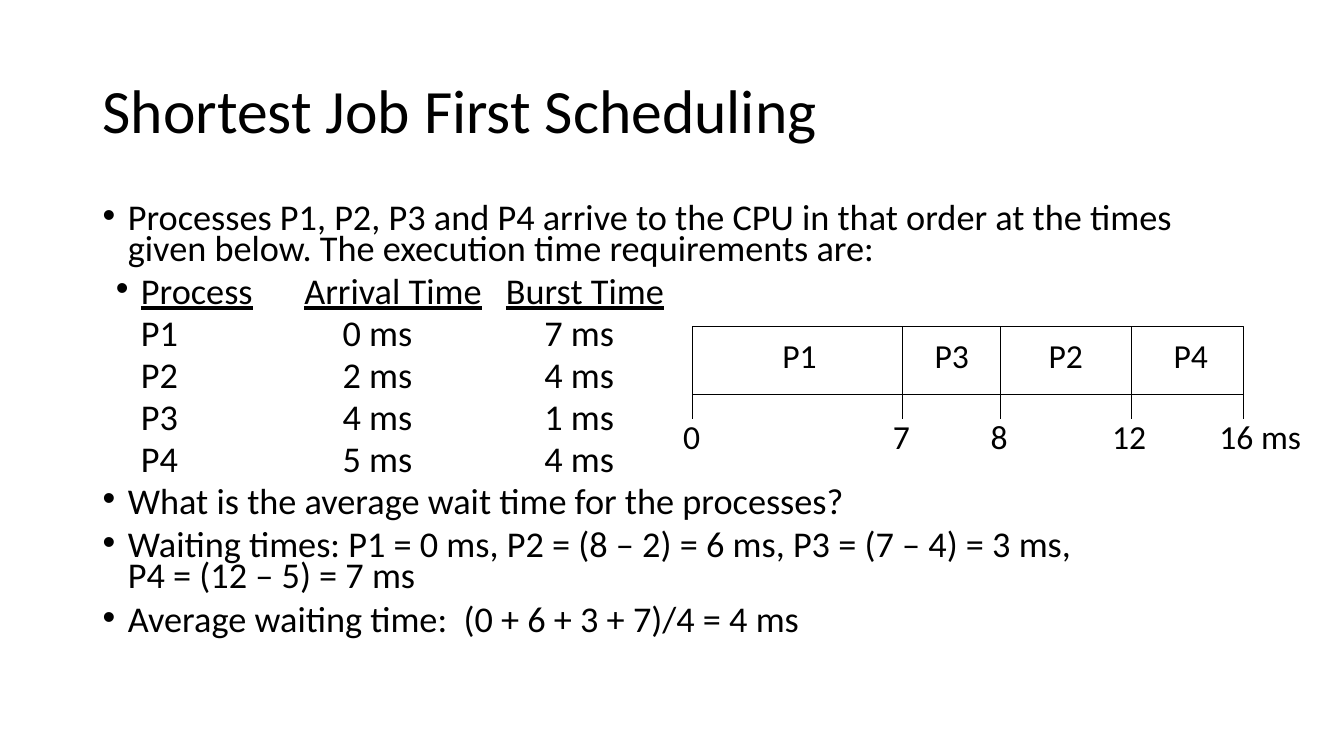
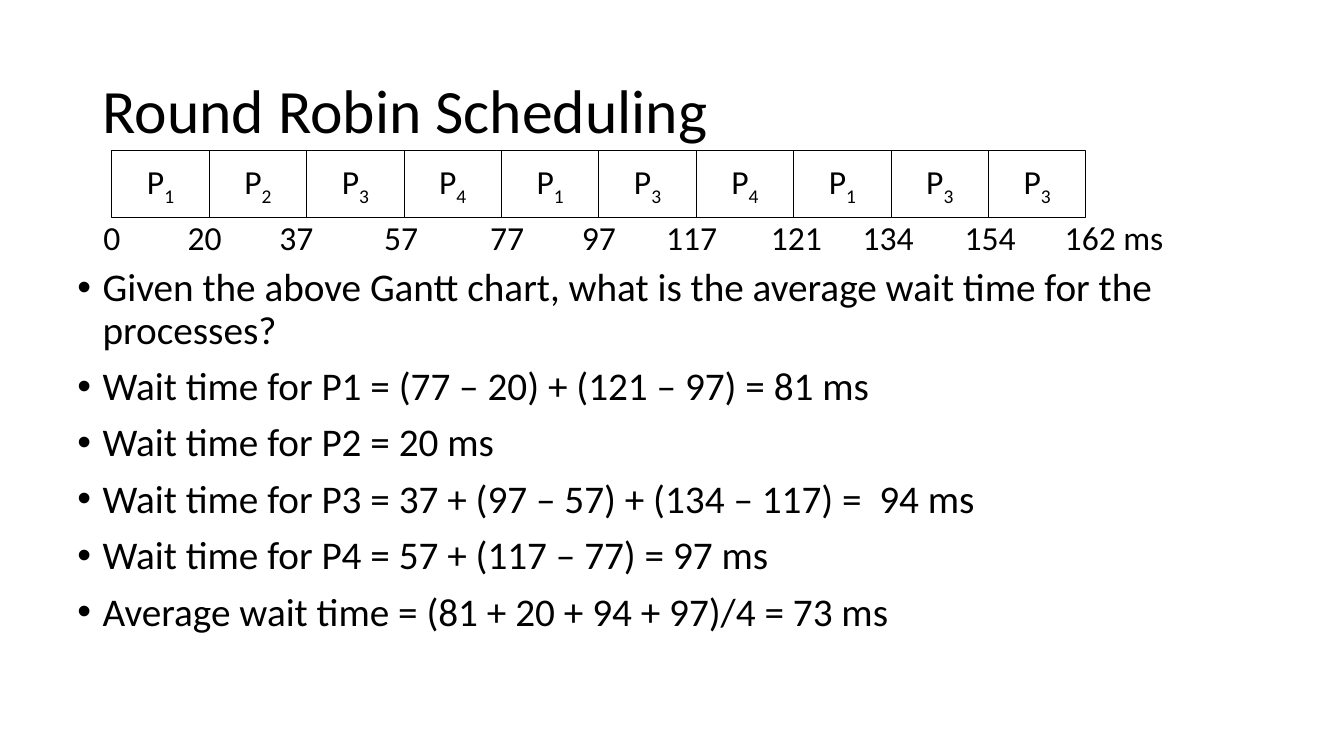
"""Build two slides on CPU scheduling: shortest job first and round robin."""
from lxml import etree
from pptx import Presentation
from pptx.dml.color import RGBColor
from pptx.enum.shapes import MSO_CONNECTOR, MSO_SHAPE
from pptx.enum.text import MSO_ANCHOR, PP_ALIGN
from pptx.oxml.ns import qn
from pptx.util import Inches, Pt

RECTANGLE = MSO_SHAPE.RECTANGLE
STRAIGHT = MSO_CONNECTOR.STRAIGHT
MIDDLE, TOP = MSO_ANCHOR.MIDDLE, MSO_ANCHOR.TOP
CENTER, LEFT = PP_ALIGN.CENTER, PP_ALIGN.LEFT

FONT = "Calibri"
COLORS = {"ink": "000000", "paper": "FFFFFF"}
LINE_WIDTH = 0.75
TITLE_AREA = (0.92, 0.4, 11.5, 1.45)
BAR_HEIGHT = 0.67
TICK_LENGTH = 0.25
LABEL_SIZE = (1.3, 0.51)

STYLES = {
    "tight": dict(size=25.9, line=0.7, before=9.8, indent=0.25, bullet=True),
    "question": dict(size=25.9, line=0.55, before=13.5, indent=0.25, bullet=True),
    "header": dict(size=25.9, line=0.55, before=12.8, indent=0.38, bullet=True, underline=True),
    "row": dict(size=25.9, line=0.55, before=12.8, indent=0.38),
    "point": dict(size=28, line=0.9, before=10, indent=0.25, bullet=True),
}

SHORTEST_JOB = {
    "title": "Shortest Job First Scheduling",
    "body_area": (0.92, 2, 11.5, 4.76),
    "body": [
        ("tight", "Processes P1, P2, P3 and P4 arrive to the CPU in that order at the times "
                  "given below. The execution time requirements are:"),
        ("header", "Process\tArrival Time\tBurst Time"),
        ("row", "P1\t\t0 ms\t\t7 ms"),
        ("row", "P2\t\t2 ms\t\t4 ms"),
        ("row", "P3\t\t4 ms\t\t1 ms"),
        ("row", "P4\t\t5 ms\t\t4 ms"),
        ("question", "What is the average wait time for the processes?"),
        ("tight", "Waiting times: P1 = 0 ms, P2 = (8 – 2) = 6 ms, P3 = (7 – 4) = 3 ms, \v"
                  "P4 = (12 – 5) = 7 ms"),
        ("tight", "Average waiting time:  (0 + 6 + 3 + 7)/4 = 4 ms"),
    ],
    "bar_top": 3.24,
    "edges": [6.87, 8.95, 9.92, 11.22, 12.33],
    "jobs_top": 3.27,
    "jobs": [("P1", 7.93), ("P3", 9.44), ("P2", 10.57), ("P4", 11.81)],
    "times_top": 4.07,
    "times": [("0", 6.86), ("7", 8.94), ("8", 9.91), ("12", 11.2), ("16 ms", 12.5)],
}

ROUND_ROBIN = {
    "title": "Round Robin Scheduling",
    "body_area": (0.67, 2.61, 12, 4.39),
    "body": [
        ("point", "Given the above Gantt chart, what is the average wait time for the processes?"),
        ("point", "Wait time for P1 = (77 – 20) + (121 – 97) = 81 ms"),
        ("point", "Wait time for P2 = 20 ms"),
        ("point", "Wait time for P3 = 37 + (97 – 57) + (134 – 117) =  94 ms"),
        ("point", "Wait time for P4 = 57 + (117 – 77) = 97 ms"),
        ("point", "Average wait time = (81 + 20 + 94 + 97)/4 = 73 ms"),
    ],
    "bar_top": 1.49,
    "bar_left": 1.11,
    "bar_width": 9.66,
    "jobs": "1234134133",
    "times_top": 2.1,
    "times": [("0", 1.11), ("20", 2.03), ("37", 2.94), ("57", 3.98), ("77", 5.03),
              ("97", 5.94), ("117", 6.86), ("121", 7.9), ("134", 8.81),
              ("154", 9.82), ("162 ms", 11.05)],
}


def color(name):
    return RGBColor.from_string(COLORS[name])


def style_text(paragraph, size, align=LEFT):
    paragraph.alignment = align
    paragraph.font.name = FONT
    paragraph.font.size = Pt(size)
    paragraph.font.color.rgb = color("ink")


def add_box(page, area, anchor, wrap=True):
    box = page.shapes.add_textbox(*map(Inches, area))
    box.text_frame.word_wrap = wrap
    box.text_frame.vertical_anchor = anchor
    return box.text_frame


def add_title(page, text):
    paragraph = add_box(page, TITLE_AREA, MIDDLE).paragraphs[0]
    paragraph.text = text
    paragraph.line_spacing = 0.9
    style_text(paragraph, 44)


def add_body(page, area, entries):
    frame = add_box(page, area, TOP)
    for index, (name, text) in enumerate(entries):
        style = STYLES[name]
        paragraph = frame.add_paragraph() if index else frame.paragraphs[0]
        paragraph.text = text
        paragraph.line_spacing = style["line"]
        if index:
            paragraph.space_before = Pt(style["before"])
        properties = paragraph._p.get_or_add_pPr()
        properties.set("marL", str(Inches(style["indent"])))
        properties.set("defTabSz", str(Inches(1)))
        if style.get("bullet"):
            properties.set("indent", str(Inches(-0.25)))
            etree.SubElement(properties, qn("a:buFont")).set("typeface", "Arial")
            etree.SubElement(properties, qn("a:buChar")).set("char", "•")
        style_text(paragraph, style["size"])
        if style.get("underline"):
            for span in paragraph.runs:
                span.font.underline = True


def add_bar(page, left, top, width):
    bar = page.shapes.add_shape(RECTANGLE, *map(Inches, (left, top, width, BAR_HEIGHT)))
    bar.shadow.inherit = False
    bar.fill.solid()
    bar.fill.fore_color.rgb = color("paper")
    bar.line.color.rgb = color("ink")
    bar.line.width = Pt(LINE_WIDTH)
    return bar.text_frame


def add_upright(page, x, top, length):
    upright = page.shapes.add_connector(STRAIGHT, *map(Inches, (x, top, x, top + length)))
    upright.line.color.rgb = color("ink")
    upright.line.width = Pt(LINE_WIDTH)
    etree.SubElement(upright._element.spPr, qn("a:effectLst"))


def add_labels(page, top, labels):
    width, height = LABEL_SIZE
    for text, middle in labels:
        area = (middle - width / 2, top, width, height)
        paragraph = add_box(page, area, MIDDLE, wrap=False).paragraphs[0]
        paragraph.text = text
        style_text(paragraph, 24, CENTER)


def add_divided_bar(page, content):
    edges, top = content["edges"], content["bar_top"]
    add_bar(page, edges[0], top, edges[-1] - edges[0])
    for x in edges[1:-1]:
        add_upright(page, x, top, BAR_HEIGHT)
    for x in edges:
        add_upright(page, x, top + BAR_HEIGHT, TICK_LENGTH)
    add_labels(page, content["jobs_top"], content["jobs"])


def add_cell_row(page, content):
    width = content["bar_width"] / len(content["jobs"])
    for index, number in enumerate(content["jobs"]):
        left = content["bar_left"] + index * width
        frame = add_bar(page, left, content["bar_top"], width)
        frame.word_wrap = False
        frame.vertical_anchor = MIDDLE
        paragraph = frame.paragraphs[0]
        paragraph.add_run().text = "P"
        subscript = paragraph.add_run()
        subscript.text = number
        subscript._r.get_or_add_rPr().set("baseline", "-25000")
        style_text(paragraph, 24, CENTER)


def main():
    deck = Presentation()
    deck.slide_width, deck.slide_height = Inches(13.33), Inches(7.5)
    for content, add_gantt in ((SHORTEST_JOB, add_divided_bar), (ROUND_ROBIN, add_cell_row)):
        page = deck.slides.add_slide(deck.slide_layouts[6])
        add_title(page, content["title"])
        add_body(page, content["body_area"], content["body"])
        add_gantt(page, content)
        add_labels(page, content["times_top"], content["times"])
    deck.save("out.pptx")


if __name__ == "__main__":
    main()
